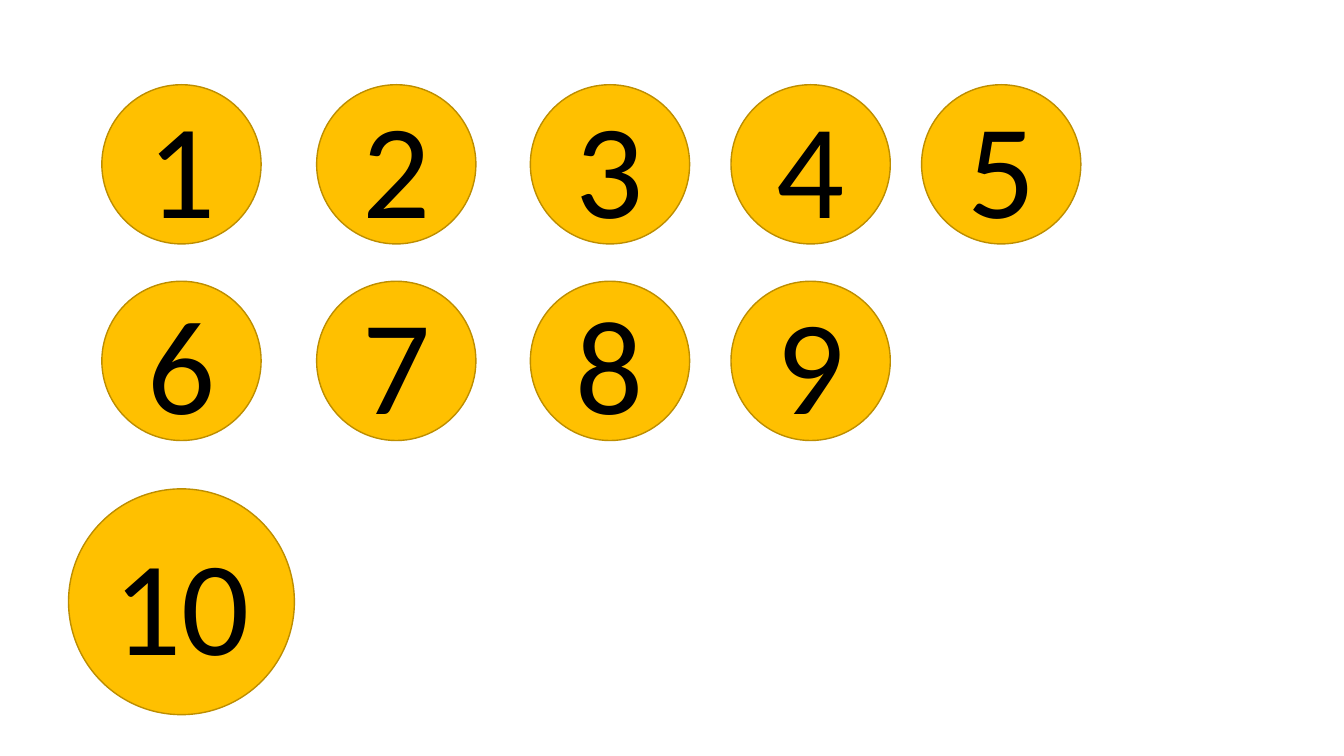
from pptx import Presentation
from pptx import util as u
from pptx.dml.color import RGBColor
from pptx.enum import shapes, text

COLORS = {"disc": "FFC000", "rim": "BD8E00", "digit": "000000"}

deck = Presentation()
deck.slide_width, deck.slide_height = u.Inches(13.33), u.Inches(7.5)
slide = deck.slides.add_slide(deck.slide_layouts[6])

# Grid in inches: column centres, and the top and diameter of each row
columns = [1.8, 3.93, 6.05, 8.04, 9.93]
rows = [
    (0.84, 1.58, ["1", "2", "3", "4", "5"]),
    (2.79, 1.58, ["6", "7", "8", "9"]),
    (4.85, 2.24, ["10"]),
]

# Numbered discs
for top, diameter, numbers in rows:
    for center, number in zip(columns, numbers):
        disc = slide.shapes.add_shape(
            shapes.MSO_SHAPE.OVAL, u.Inches(center - diameter / 2), u.Inches(top),
            u.Inches(diameter), u.Inches(diameter))
        disc.shadow.inherit = False
        disc.fill.solid()
        disc.fill.fore_color.rgb = RGBColor.from_string(COLORS["disc"])
        disc.line.color.rgb = RGBColor.from_string(COLORS["rim"])
        disc.line.width = u.Pt(1)

        label = disc.text_frame
        label.vertical_anchor = text.MSO_ANCHOR.MIDDLE
        label.paragraphs[0].alignment = text.PP_ALIGN.CENTER
        digit = label.paragraphs[0].add_run()
        digit.text = number
        digit.font.name = "Calibri"
        digit.font.size = u.Pt(96)
        digit.font.color.rgb = RGBColor.from_string(COLORS["digit"])

deck.save("out.pptx")
